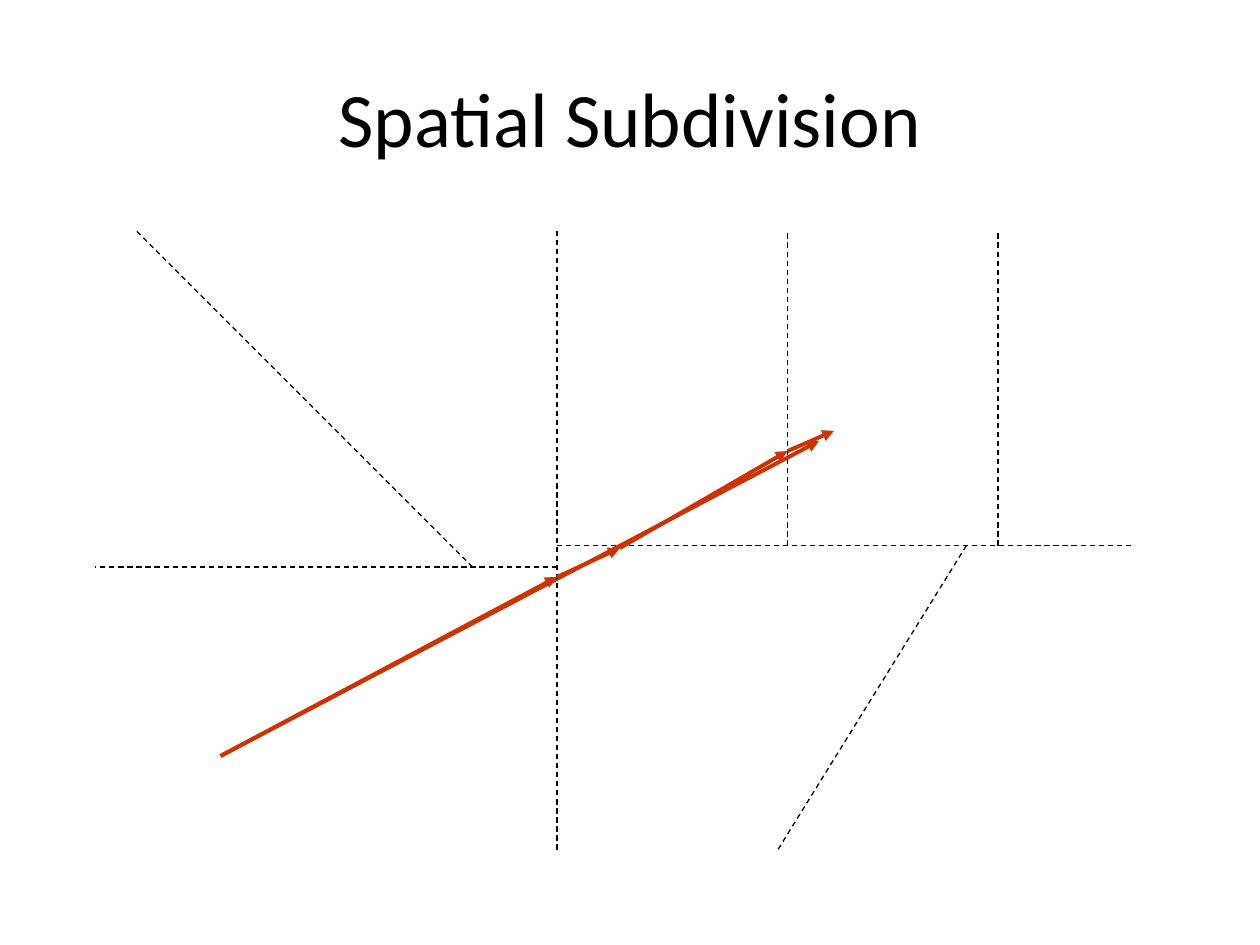
from itertools import pairwise

from lxml import etree
from pptx import Presentation
from pptx.dml.color import RGBColor
from pptx.enum import dml, shapes, text
from pptx.oxml import ns
from pptx.util import Inches, Pt

PLANE = {"color": "000000", "width": 0.75, "dash": dml.MSO_LINE.DASH}
RAY = {"color": "CC3300", "width": 2.25, "arrow": "triangle"}


def rgb(hex_color):
    """Turn a hex string into a colour."""
    return RGBColor.from_string(hex_color)


def add_line(parent, box, start, end, style):
    """Draw a styled straight line between two points relative to the box."""
    left, top = box[:2]
    ends = [Inches(offset + value) for point in (start, end)
            for offset, value in zip((left, top), point)]
    connector = parent.add_connector(shapes.MSO_CONNECTOR.STRAIGHT, *ends)
    connector.line.color.rgb = rgb(style["color"])
    connector.line.width = Pt(style["width"])
    if "dash" in style:
        connector.line.dash_style = style["dash"]
    if "arrow" in style:
        outline = connector.line._get_or_add_ln()
        etree.SubElement(outline, ns.qn("a:tailEnd"), type=style["arrow"])
    etree.SubElement(connector._element.spPr, ns.qn("a:effectLst"))


def add_title(slide, box, wording):
    """Place and format the slide title in the box."""
    title = slide.shapes.title
    for side, value in zip(("left", "top", "width", "height"), box):
        setattr(title, side, Inches(value))
    title.text_frame.text = wording
    title.text_frame.vertical_anchor = text.MSO_ANCHOR.MIDDLE
    heading = title.text_frame.paragraphs[0]
    heading.alignment = text.PP_ALIGN.CENTER
    for name, value in {"name": "Calibri", "size": Pt(44)}.items():
        setattr(heading.font, name, value)
    heading.font.color.rgb = rgb("000000")


def add_planes(slide, box):
    """Group the dashed planes that divide the space in the box."""
    width, height = box[2:]
    split, right_level, left_level = 3.67, 2.5, 2.67
    planes = [
        ((split, 0), (split, height)),
        ((split, right_level), (width, right_level)),
        ((split, left_level), (0, left_level)),
        ((5.5, right_level), (5.5, 0)),
        ((7.17, right_level), (7.17, 0)),
        ((6.92, right_level), (5.42, height)),
        ((3, left_level), (0.33, 0)),
    ]
    group = slide.shapes.add_group_shape()
    for start, end in planes:
        add_line(group.shapes, box, start, end, PLANE)


def add_subdivision(slide, box):
    """Draw the whole ray, the planes and the ray cut at each plane."""
    origin = (1, 4.17)
    crossings = [origin, (3.67, 2.75), (4.17, 2.52), (5.5, 1.75), (5.87, 1.59)]
    add_line(slide.shapes, box, origin, (5.75, 1.67), RAY)
    add_planes(slide, box)
    for start, end in pairwise(crossings):
        add_line(slide.shapes, box, start, end, RAY)


def main():
    """Build and save the slide."""
    deck = Presentation()
    deck.slide_width, deck.slide_height = Inches(10), Inches(7.5)
    slide = deck.slides.add_slide(deck.slide_layouts.get_by_name("Title Only"))
    add_title(slide, (0.5, 0.3, 9, 1.25), "Spatial Subdivision")
    add_subdivision(slide, (0.75, 1.83, 8.25, 4.92))
    deck.save("out.pptx")


if __name__ == "__main__":
    main()
